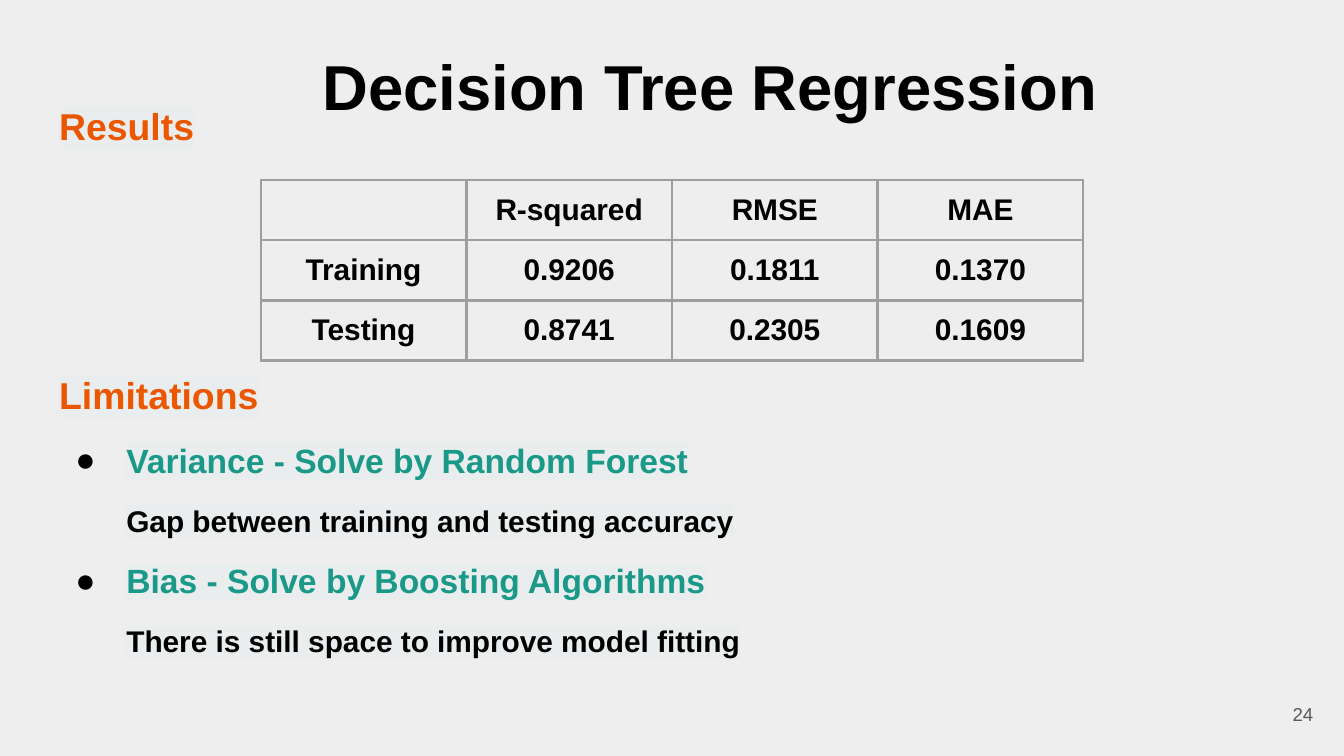
from dataclasses import dataclass

import pptx
import pptx.dml.color
import pptx.enum.text
import pptx.oxml
import pptx.oxml.ns
import pptx.util
from lxml import etree

Inches = pptx.util.Inches
Pt = pptx.util.Pt
qn = pptx.oxml.ns.qn
Align = pptx.enum.text.PP_ALIGN
Anchor = pptx.enum.text.MSO_ANCHOR


@dataclass(frozen=True)
class Theme:
    font: str = "Arial"
    background: str = "EEEEEE"
    ink: str = "000000"
    heading: str = "EB5600"
    accent: str = "1A9988"
    muted: str = "595959"
    highlight: str = "E9EDEE"
    border: str = "9E9E9E"
    title_size: int = 34
    heading_size: int = 20
    point_size: int = 18
    text_size: int = 16
    number_size: int = 10


THEME = Theme()

RESULTS = [
    ["", "R-squared", "RMSE", "MAE"],
    ["Training", "0.9206", "0.1811", "0.1370"],
    ["Testing", "0.8741", "0.2305", "0.1609"],
]

# Text, kind of line, space before in points; the wide gap holds the table
BODY = [
    ("Results", "heading", 0),
    ("Limitations", "heading", 120),
    ("Variance - Solve by Random Forest", "point", 12),
    ("Gap between training and testing accuracy", "detail", 12),
    ("Bias - Solve by Boosting Algorithms", "point", 12),
    ("There is still space to improve model fitting", "detail", 12),
]

# Size, colour, left margin and first-line indent of each kind of line
LINE_STYLES = {
    "heading": (THEME.heading_size, THEME.heading, 0, 0),
    "point": (THEME.point_size, THEME.accent, 0.5, -0.38),
    "detail": (THEME.text_size, THEME.ink, 0.5, 0),
}


def rgb(color):
    return pptx.dml.color.RGBColor.from_string(color)


def style_font(font, size, color, bold=True):
    font.name = THEME.font
    font.size = Pt(size)
    font.bold = bold
    font.color.rgb = rgb(color)


def place(box, left, top, width, height):
    box.left, box.top = Inches(left), Inches(top)
    box.width, box.height = Inches(width), Inches(height)


def prepare_frame(frame, anchor=Anchor.TOP):
    frame.word_wrap = True
    frame.auto_size = pptx.enum.text.MSO_AUTO_SIZE.NONE
    frame.vertical_anchor = anchor
    frame.margin_left = frame.margin_right = Inches(0.1)
    frame.margin_top = frame.margin_bottom = Inches(0.1)


def indent(para, left, first):
    properties = para._p.get_or_add_pPr()
    properties.set("marL", str(Inches(left)))
    properties.set("indent", str(Inches(first)))
    return properties


def add_bullet(properties):
    color = etree.SubElement(properties, qn("a:buClr"))
    etree.SubElement(color, qn("a:srgbClr"), val=THEME.ink)
    etree.SubElement(properties, qn("a:buFont"), typeface=THEME.font)
    etree.SubElement(properties, qn("a:buChar"), char="●")


def highlight(span):
    mark = etree.Element(qn("a:highlight"))
    etree.SubElement(mark, qn("a:srgbClr"), val=THEME.highlight)
    span._r.get_or_add_rPr().find(qn("a:solidFill")).addnext(mark)


def fill_title(box):
    place(box, 0.34, 0.25, 9.32, 0.63)
    prepare_frame(box.text_frame)
    para = box.text_frame.paragraphs[0]
    para.text = "Decision Tree Regression"
    para.alignment = Align.LEFT
    indent(para, 1.96, 0)
    style_font(para.runs[0].font, THEME.title_size, THEME.ink)


def fill_body(box):
    place(box, 0.34, 0.67, 9.32, 4.89)
    frame = box.text_frame
    prepare_frame(frame)
    frame.text = "\n".join(text for text, kind, gap in BODY)
    for para, (text, kind, gap) in zip(frame.paragraphs, BODY):
        size, color, left, first = LINE_STYLES[kind]
        properties = indent(para, left, first)
        if kind == "point":
            add_bullet(properties)
        else:
            etree.SubElement(properties, qn("a:buNone"))
        para.space_before = Pt(gap)
        para.line_spacing = 1.0
        span = para.runs[0]
        style_font(span.font, size, color)
        highlight(span)


def add_borders(cell):
    properties = cell._tc.get_or_add_tcPr()
    for side in ("lnL", "lnR", "lnT", "lnB"):
        line = etree.SubElement(properties, qn(f"a:{side}"), w=str(Pt(1.5)))
        fill = etree.SubElement(line, qn("a:solidFill"))
        etree.SubElement(fill, qn("a:srgbClr"), val=THEME.border)


def add_results_table(page):
    table = page.shapes.add_table(
        len(RESULTS), len(RESULTS[0]),
        Inches(1.94), Inches(1.34), Inches(6.12), Inches(1.26),
    ).table
    for row, values in zip(table.rows, RESULTS):
        for cell, value in zip(row.cells, values):
            add_borders(cell)
            cell.fill.background()
            cell.margin_left = cell.margin_right = Inches(0.1)
            # The empty corner must not stretch its row
            cell.margin_top = cell.margin_bottom = Inches(0.1 if value else 0.05)
            if value:
                cell.text = value
                para = cell.text_frame.paragraphs[0]
                para.alignment = Align.CENTER
                style_font(para.runs[0].font, THEME.text_size, THEME.ink)


def add_page_number(page, number):
    box = page.shapes.add_textbox(
        Inches(9.27), Inches(5.1), Inches(0.6), Inches(0.43))
    prepare_frame(box.text_frame, Anchor.MIDDLE)
    para = box.text_frame.paragraphs[0]
    para.text = str(number)
    para.alignment = Align.RIGHT
    style_font(para.runs[0].font, THEME.number_size, THEME.muted, bold=False)


def main():
    deck = pptx.Presentation()
    # Widescreen, 16:9
    deck.slide_width = Inches(10)
    deck.slide_height = deck.slide_width * 9 // 16
    page = deck.slides.add_slide(deck.slide_layouts[1])
    page.background.fill.solid()
    page.background.fill.fore_color.rgb = rgb(THEME.background)

    fill_title(page.shapes.title)
    fill_body(page.placeholders[1])
    add_results_table(page)
    add_page_number(page, 24)
    deck.save("out.pptx")


if __name__ == "__main__":
    main()
